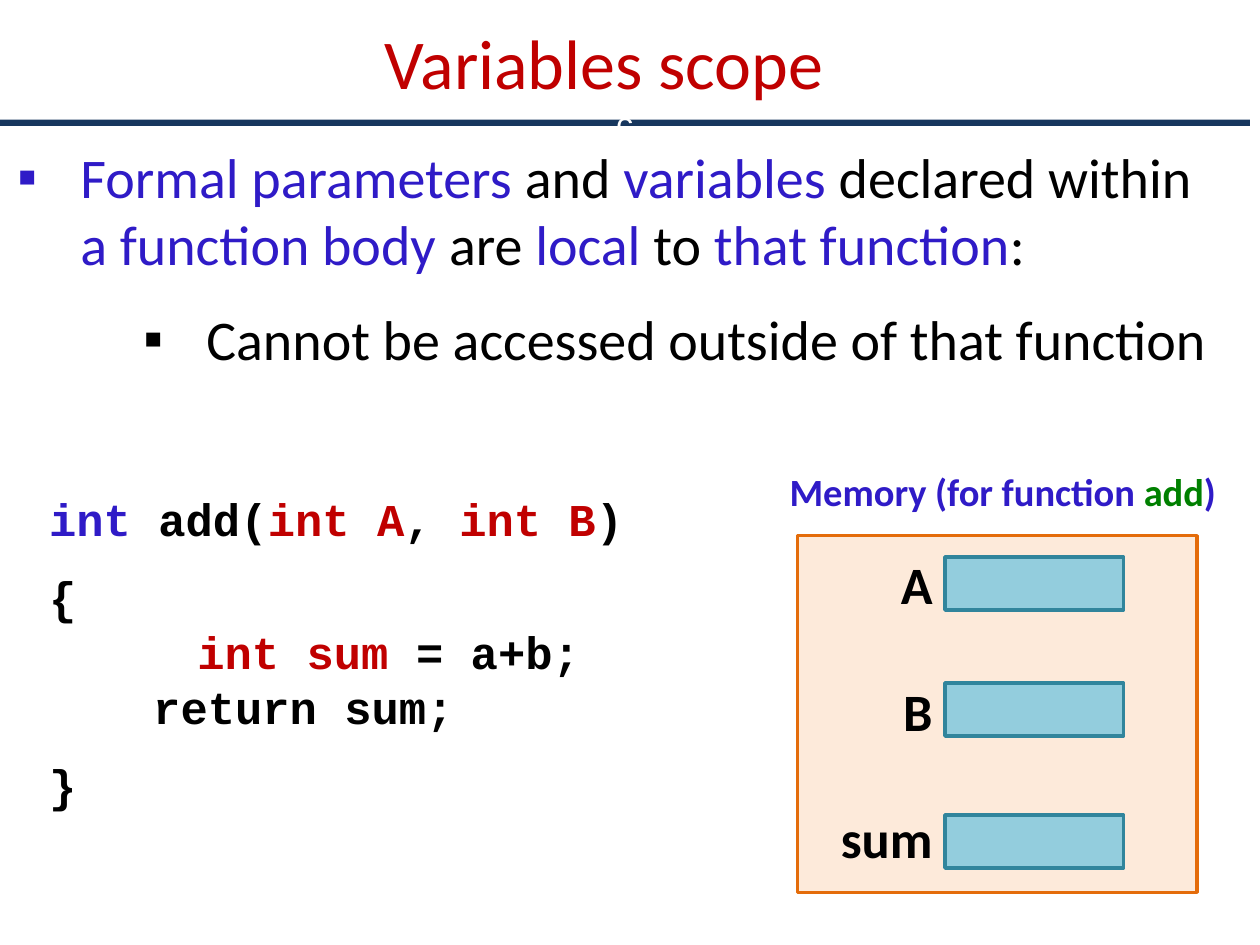
from lxml import etree
from pptx import Presentation
from pptx.dml.color import RGBColor
from pptx.enum.shapes import MSO_SHAPE as Shape
from pptx.enum.text import MSO_ANCHOR as Anchor, PP_ALIGN as Align
from pptx.oxml.ns import qn
from pptx.util import Cm, Pt

BLUE, RED, GREEN = "2F1BC7", "C00000", "008000"
BLACK, WHITE, NAVY = "000000", "FFFFFF", "17375E"
PLAIN, CODE = "Calibri", "Courier New"


def color(value):
    return RGBColor.from_string(value)


def add_rect(shapes, left, top, width, height, fill, line=None):
    rect = shapes.add_shape(Shape.RECTANGLE, Cm(left), Cm(top), Cm(width), Cm(height))
    rect.shadow.inherit = False
    rect.fill.solid()
    rect.fill.fore_color.rgb = color(fill)
    if line:
        rect.line.color.rgb = color(line)
        rect.line.width = Pt(2)
    else:
        rect.line.fill.background()
    return rect


def add_text_box(shapes, left, top, width, height, anchor=Anchor.TOP):
    box = shapes.add_textbox(Cm(left), Cm(top), Cm(width), Cm(height))
    box.text_frame.word_wrap = True
    box.text_frame.vertical_anchor = anchor
    return box.text_frame


def add_para(frame, spans, size, font=PLAIN, bold=False, align=Align.LEFT, before=0):
    """Add a paragraph of (text, colour) spans, using the empty first one if free."""
    para = frame.paragraphs[0]
    if para.runs:
        para = frame.add_paragraph()
    para.alignment = align
    para.space_before = Pt(before)
    for text, shade in spans:
        span = para.add_run()
        span.text = text
        span.font.name = font
        span.font.size = Pt(size)
        span.font.bold = bold
        span.font.color.rgb = color(shade)
    return para


def set_indent(para, left, first=0):
    props = para._p.get_or_add_pPr()
    props.set("marL", str(Cm(left)))
    props.set("indent", str(Cm(first)))
    return props


def add_bullet(frame, spans, left, before=0):
    props = set_indent(add_para(frame, spans, 32, before=before), left, -1.27)
    etree.SubElement(props, qn("a:buFont")).set("typeface", "Arial")
    etree.SubElement(props, qn("a:buChar")).set("char", "▪")


def add_code(frame, spans, left, before=0):
    para = add_para(frame, spans, 26, CODE, bold=True, before=before)
    para.line_spacing = Pt(31.5)
    set_indent(para, left)


def add_body(page):
    frame = add_text_box(page.shapes, 0.1, 2.74, 24.89, 14.33)
    add_bullet(frame, [
        ("Formal parameters ", BLUE), ("and ", BLACK), ("variables ", BLUE),
        ("declared within", BLACK), (" a function body ", BLUE), ("are ", BLACK),
        ("local", BLUE), (" to ", BLACK), ("that function", BLUE), (":", BLACK),
    ], 1.27)
    add_bullet(frame, [("Cannot be accessed outside of that function", BLACK)], 3.81, 16)

    # Function listing
    add_code(frame, [
        ("int", BLUE), (" add(", BLACK), ("int A", RED), (", ", BLACK),
        ("int B", RED), (")", BLACK),
    ], 0.64, 68)
    add_code(frame, [("{", BLACK)], 0.64, 13)
    add_code(frame, [("int sum ", RED), ("= a+b;", BLACK)], 3.63)
    add_code(frame, [("return sum;", BLACK)], 2.74)
    add_code(frame, [("}", BLACK)], 0.64, 13)


def add_header(page):
    rule = add_rect(page.shapes, 0, 2.41, 25.2, 0.13, NAVY)
    rule.text_frame.vertical_anchor = Anchor.MIDDLE
    add_para(rule.text_frame, [("c", WHITE)], 18, CODE, align=Align.CENTER)
    title = add_text_box(page.shapes, 1.27, 0.13, 21.82, 2.21, Anchor.MIDDLE)
    add_para(title, [("Variables scope", RED)], 40, align=Align.CENTER)


def add_memory(page):
    shapes = page.shapes.add_group_shape().shapes
    add_rect(shapes, 16.08, 10.8, 8.05, 7.19, "FDEADA", "E46C0A")
    for top in (11.23, 13.77, 16.43):
        add_rect(shapes, 19.05, top, 3.6, 1.07, "93CDDD", "31859C")

    # Names of the cells, one line apart
    labels = add_text_box(shapes, 16.51, 11, 2.54, 6.68)
    for name, before in (("A", 0), ("B", 36.6), ("sum", 36.6)):
        add_para(labels, [(name, BLACK)], 30, bold=True, align=Align.RIGHT, before=before)

    caption = add_text_box(shapes, 15.67, 9.32, 9.53, 1.19)
    add_para(caption, [("Memory (for function ", BLUE), ("add", GREEN), (")", BLUE)],
             22, bold=True)


def main():
    deck = Presentation()
    deck.slide_width, deck.slide_height = Cm(25.4), Cm(19.05)
    page = deck.slides.add_slide(deck.slide_layouts[6])
    add_body(page)
    add_header(page)
    add_memory(page)
    deck.save("out.pptx")


if __name__ == "__main__":
    main()
